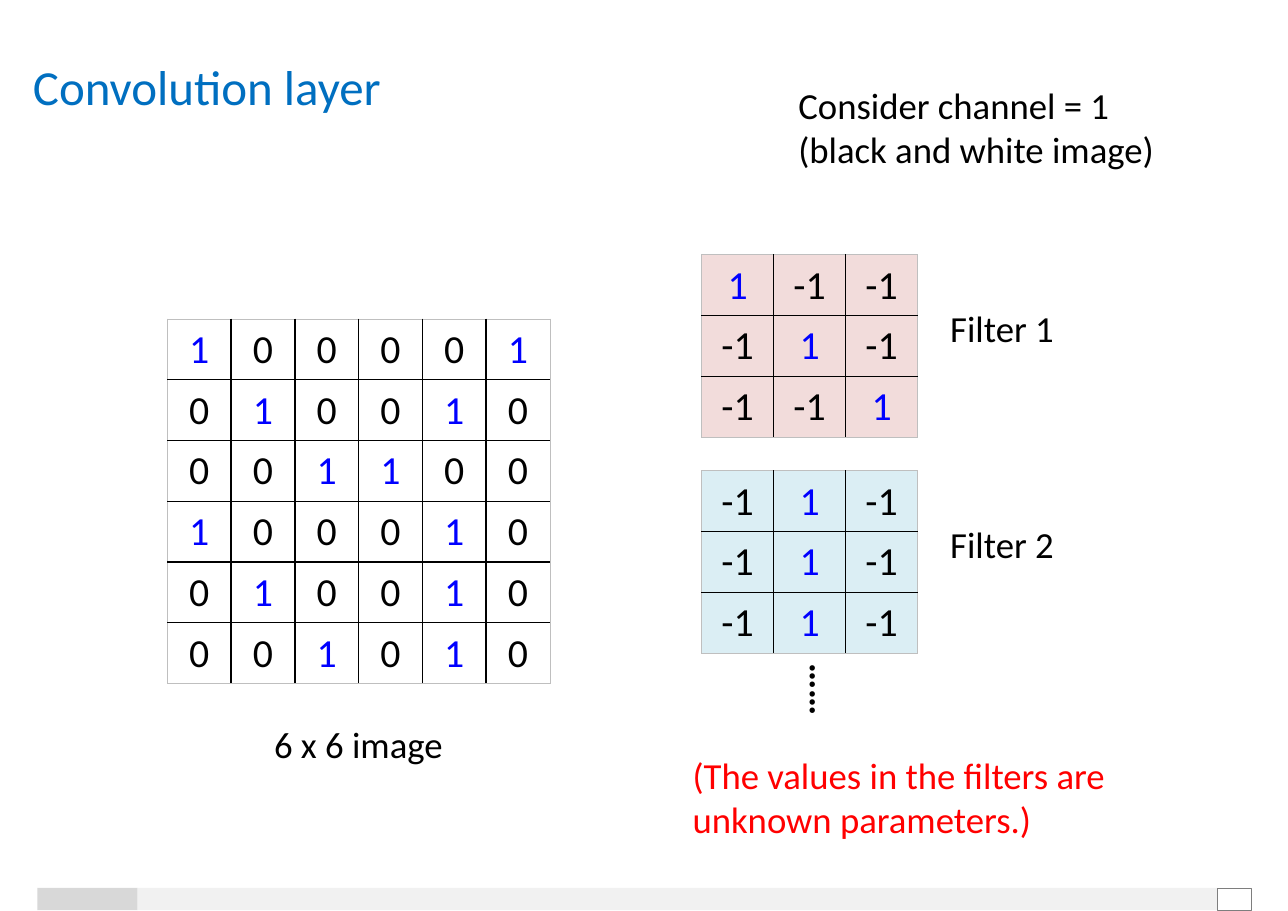
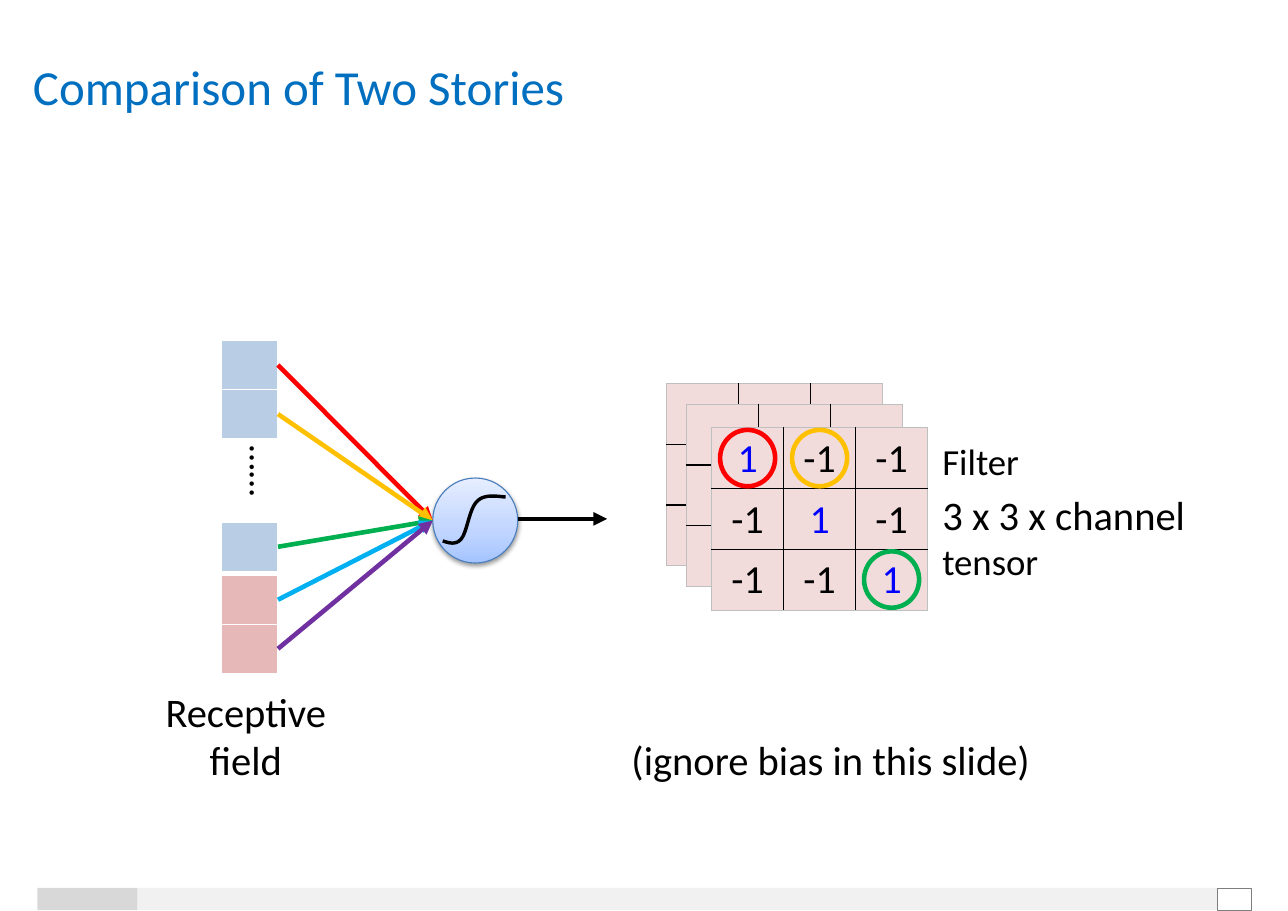
from copy import deepcopy

from lxml.etree import SubElement
from pptx import Presentation
from pptx.dml.color import RGBColor
from pptx.enum.shapes import MSO_CONNECTOR, MSO_SHAPE
from pptx.enum.text import PP_ALIGN
from pptx.oxml.ns import qn
from pptx.util import Cm, Pt

FONT = "Calibri"
BLACK = RGBColor(0x00, 0x00, 0x00)
WHITE = RGBColor(0xFF, 0xFF, 0xFF)
TITLE_BLUE = RGBColor(0x00, 0x6F, 0xC0)
VALUE_BLUE = RGBColor(0x00, 0x00, 0xFF)
RED = RGBColor(0xFF, 0x00, 0x00)
ORANGE = RGBColor(0xFF, 0xC0, 0x00)
GREEN = RGBColor(0x00, 0xB0, 0x50)
SKY = RGBColor(0x00, 0xB0, 0xF0)
PURPLE = RGBColor(0x70, 0x30, 0xA0)
PINK = RGBColor(0xF2, 0xDC, 0xDB)
PALE_CYAN = RGBColor(0xDB, 0xEE, 0xF4)
INPUT_BLUE = RGBColor(0xB9, 0xCD, 0xE5)
INPUT_PINK = RGBColor(0xE6, 0xB9, 0xB8)
EDGE_GREY = RGBColor(0xBF, 0xBF, 0xBF)
FOOTER_LIGHT = RGBColor(0xF1, 0xF1, 0xF1)
FOOTER_DARK = RGBColor(0xD8, 0xD8, 0xD8)
FOOTER_FRAME = RGBColor(0x7E, 0x7E, 0x7E)
NEURON_LINE = RGBColor(0x4B, 0x7E, 0xBC)
NEURON_STOPS = (
    (0, RGBColor(0xA4, 0xC4, 0xFF)),
    (0.35, RGBColor(0xBF, 0xD4, 0xFF)),
    (1, RGBColor(0xE6, 0xEE, 0xFF)),
)

ROW_HEIGHT = 1.4
FILTER_COLUMN = 1.66
IMAGE_COLUMN = 1.47
INPUT_WIDTH = 1.3
INPUT_HEIGHT = 1.13

IMAGE_VALUES = [list(row) for row in ("100001", "010010", "001100", "100010", "010010", "001010")]
DIAGONAL_FILTER = [["1" if row == column else "-1" for column in range(3)] for row in range(3)]
VERTICAL_FILTER = [["-1", "1", "-1"]] * 3
BLANK_FILTER = [[""] * 3] * 3

SIGMOID = (
    (1.68, 0.44), (1.42, 0.41), (1.17, 0.38), (1.02, 0.54), (0.84, 0.71),
    (0.79, 1.25), (0.66, 1.4), (0.54, 1.55), (0.38, 1.5), (0.23, 1.45),
)


def style_text(text_frame, text, size=24, color=BLACK, bold=False, align=PP_ALIGN.LEFT):
    text_frame.text = text
    for paragraph in text_frame.paragraphs:
        paragraph.alignment = align
        font = paragraph.font
        font.name, font.size, font.bold = FONT, Pt(size), bold
        font.color.rgb = color


def add_text(slide, text, left, top, width, height, inset=True, rotation=0, **style):
    shape = slide.shapes.add_textbox(Cm(left), Cm(top), Cm(width), Cm(height))
    text_frame = shape.text_frame
    text_frame.word_wrap = True
    if not inset:
        text_frame.margin_left = text_frame.margin_right = 0
        text_frame.margin_top = text_frame.margin_bottom = 0
    shape.rotation = rotation
    style_text(text_frame, text, **style)


def add_shape(slide, preset, left, top, width, height, fill=None, line=None, weight=1):
    shape = slide.shapes.add_shape(preset, Cm(left), Cm(top), Cm(width), Cm(height))
    shape.shadow.inherit = False
    if fill is None:
        shape.fill.background()
    else:
        shape.fill.solid()
        shape.fill.fore_color.rgb = fill
    if line is None:
        shape.line.fill.background()
    else:
        shape.line.color.rgb = line
        shape.line.width = Pt(weight)
    return shape


def add_arrow(slide, start, end, color):
    points = [Cm(value) for value in (*start, *end)]
    connector = slide.shapes.add_connector(MSO_CONNECTOR.STRAIGHT, *points)
    connector.line.color.rgb = color
    connector.line.width = Pt(3)
    SubElement(connector.line._get_or_add_ln(), qn("a:tailEnd"), type="triangle")
    SubElement(connector._element.spPr, qn("a:effectLst"))


def set_border(cell, side, color, weight):
    line = SubElement(cell._tc.get_or_add_tcPr(), qn("a:ln" + side), w=str(Pt(weight)))
    fill = SubElement(line, qn("a:solidFill"))
    SubElement(fill, qn("a:srgbClr"), val=str(color))


def add_grid(slide, values, left, top, column_width, row_height=ROW_HEIGHT, fill=WHITE,
             inner=(BLACK, 1), outer=(EDGE_GREY, 0.5)):
    rows, columns = len(values), len(values[0])
    table = slide.shapes.add_table(
        rows, columns, Cm(left), Cm(top), Cm(column_width * columns), Cm(row_height * rows)
    ).table
    table.first_row = table.horz_banding = False
    for row_index, row in enumerate(values):
        table.rows[row_index].height = Cm(row_height)
        for column_index, value in enumerate(row):
            table.columns[column_index].width = Cm(column_width)
            cell = table.cell(row_index, column_index)
            at_edge = {
                "L": column_index == 0, "R": column_index == columns - 1,
                "T": row_index == 0, "B": row_index == rows - 1,
            }
            for side, is_outer in at_edge.items():
                set_border(cell, side, *(outer if is_outer else inner))
            cell.fill.solid()
            cell.fill.fore_color.rgb = fill
            if value:
                cell.margin_left = cell.margin_right = Cm(0.28)
                cell.margin_top = cell.margin_bottom = Cm(0.15)
                style_text(cell.text_frame, value, size=26, align=PP_ALIGN.CENTER,
                           color=VALUE_BLUE if value == "1" else BLACK)


def add_base_slide(presentation, title):
    slide = presentation.slides.add_slide(presentation.slide_layouts[6])
    top, height = 20.47, 0.51
    add_shape(slide, MSO_SHAPE.RECTANGLE, 3.17, top, 24.9, height, fill=FOOTER_LIGHT)
    add_shape(slide, MSO_SHAPE.RECTANGLE, 0.86, top, 2.31, height, fill=FOOTER_DARK)
    add_shape(slide, MSO_SHAPE.RECTANGLE, 28.07, top, 0.79, height,
              line=FOOTER_FRAME, weight=0.5)
    add_text(slide, title, 0.76, 1.3, 26.62, 1.37, inset=False, size=32, color=TITLE_BLUE)
    return slide


def add_labelled_filter(slide, label, values, fill, left, top):
    add_grid(slide, values, left, top, FILTER_COLUMN, fill=fill)
    add_text(slide, label, left + 4.7, top + 1.05, 4.45, 1.27, align=PP_ALIGN.CENTER)


def add_inputs(slide, left, top):
    groups = ((0, 2, INPUT_BLUE), (4.19, 1, INPUT_BLUE), (5.41, 2, INPUT_PINK))
    outlets = []
    for offset, count, fill in groups:
        add_grid(slide, [[""]] * count, left, top + offset, INPUT_WIDTH, INPUT_HEIGHT,
                 fill=fill, inner=(WHITE, 1), outer=(WHITE, 1))
        outlets += [
            (left + INPUT_WIDTH, top + offset + (index + 0.5) * INPUT_HEIGHT)
            for index in range(count)
        ]
    add_text(slide, "…...", left - 0.16, top + 2.67, 2.29, 1.27, rotation=90)
    add_text(slide, "Receptive field", left - 1.6, top + 7.85, 4.32, 2.51,
             size=26.5, align=PP_ALIGN.CENTER)
    return outlets


def bezier_points(points, steps=12):
    for first in range(0, len(points) - 1, 3):
        start, pull, push, end = points[first:first + 4]
        for step in range(1, steps + 1):
            t = step / steps
            weights = ((1 - t) ** 3, 3 * t * (1 - t) ** 2, 3 * t * t * (1 - t), t ** 3)
            yield tuple(
                sum(weight * point[axis] for weight, point in zip(weights, (start, pull, push, end)))
                for axis in (0, 1)
            )


def add_neuron(slide, left, top, diameter):
    circle = add_shape(slide, MSO_SHAPE.OVAL, left, top, diameter, diameter,
                       fill=WHITE, line=NEURON_LINE, weight=0.75)
    circle.fill.gradient()
    circle.fill.gradient_angle = 90
    properties = circle._element.spPr
    stop_list = properties.find(qn("a:gradFill")).find(qn("a:gsLst"))
    stop_list.append(deepcopy(stop_list[0]))
    for stop, (position, color) in zip(circle.fill.gradient_stops, NEURON_STOPS):
        stop.position = position
        stop.color.rgb = color
    shadow = SubElement(properties.find(qn("a:effectLst")), qn("a:outerShdw"),
                        blurRad=str(Pt(3.1)), dist=str(Pt(1.6)), dir="5400000", rotWithShape="0")
    shadow_color = SubElement(shadow, qn("a:srgbClr"), val=str(BLACK))
    SubElement(shadow_color, qn("a:alpha"), val="38000")

    first_x, first_y = SIGMOID[0]
    builder = slide.shapes.build_freeform(Cm(left + first_x), Cm(top + first_y))
    builder.add_line_segments(
        [(Cm(left + x), Cm(top + y)) for x, y in bezier_points(SIGMOID)], close=False)
    curve = builder.convert_to_shape()
    curve.shadow.inherit = False
    curve.fill.background()
    curve.line.color.rgb = BLACK
    curve.line.width = Pt(2.25)


def add_filter_stack(slide, left, top):
    for x, y in ((0, 0), (0.46, 0.48)):
        add_grid(slide, BLANK_FILTER, left + x, top + y, FILTER_COLUMN, fill=PINK)
    left, top = left + 1.04, top + 1.02
    add_grid(slide, DIAGONAL_FILTER, left, top, FILTER_COLUMN, fill=PINK)
    ring_width, ring_height = 1.27, 1.3
    for row, column, color in ((0, 0, RED), (0, 1, ORANGE), (2, 2, GREEN)):
        add_shape(slide, MSO_SHAPE.OVAL,
                  left + (column + 0.5) * FILTER_COLUMN - ring_width / 2,
                  top + (row + 0.5) * ROW_HEIGHT - ring_height / 2,
                  ring_width, ring_height, line=color, weight=3)
    for text, offset, size in (("Filter", 0.12, 24), ("3 x 3 x channel", 1.32, 26.5),
                               ("tensor", 2.43, 24)):
        add_text(slide, text, left + 5.07, top + offset, 6.55, 1.27, size=size)


def build_convolution_slide(presentation):
    slide = add_base_slide(presentation, "Convolution layer")
    add_grid(slide, IMAGE_VALUES, 3.86, 7.35, IMAGE_COLUMN)
    add_text(slide, "6 x 6 image", 4.67, 16.51, 7.19, 1.27, align=PP_ALIGN.CENTER)
    add_labelled_filter(slide, "Filter 1", DIAGONAL_FILTER, PINK, 16.18, 5.87)
    add_labelled_filter(slide, "Filter 2", VERTICAL_FILTER, PALE_CYAN, 16.18, 10.85)
    add_text(slide, "……", 17.93, 15.49, 2.16, 1.27, rotation=90, bold=True)
    add_text(slide, "(The values in the filters are unknown parameters.)",
             15.72, 17.22, 10.85, 2.31, color=RED)
    add_text(slide, "Consider channel = 1\n(black and white image)", 18.16, 1.78, 9.86, 2.31)


def build_comparison_slide(presentation):
    slide = add_base_slide(presentation, "Comparison of Two Stories")
    outlets = add_inputs(slide, 5.11, 7.85)
    left, top, diameter = 9.98, 11.02, 1.96
    add_neuron(slide, left, top, diameter)
    add_arrow(slide, (left + diameter, 11.96), (14, 11.96), BLACK)
    for outlet, color in zip(outlets, (RED, ORANGE, GREEN, SKY, PURPLE)):
        add_arrow(slide, outlet, (left, top + diameter / 2), color)
    add_filter_stack(slide, 15.37, 8.84)
    add_text(slide, "(ignore bias in this slide)", 11.35, 16.81, 15.62, 1.4,
             size=26.5, align=PP_ALIGN.CENTER)


def main():
    presentation = Presentation()
    presentation.slide_width, presentation.slide_height = Cm(29.7), Cm(21)
    build_convolution_slide(presentation)
    build_comparison_slide(presentation)
    presentation.save("out.pptx")


if __name__ == "__main__":
    main()
